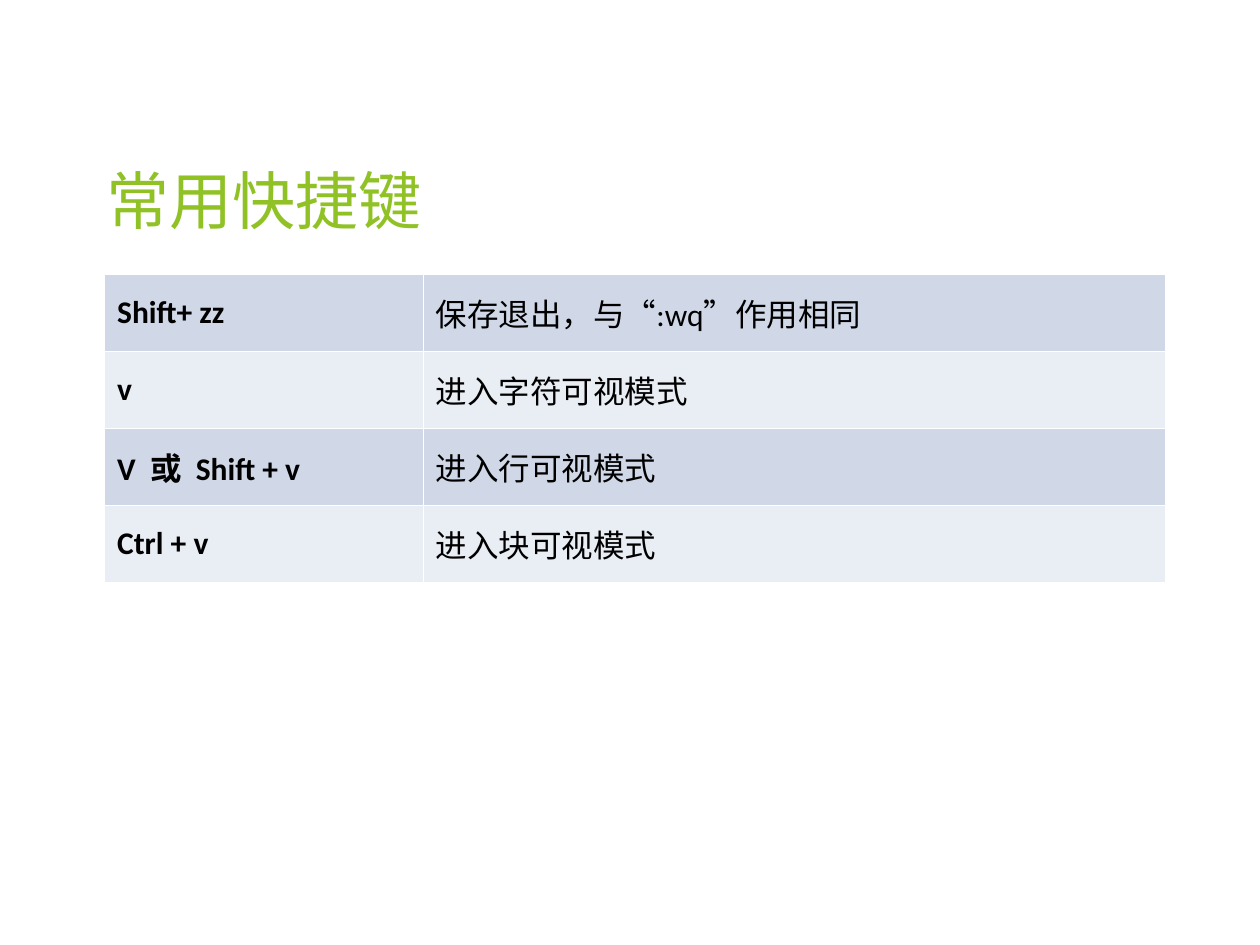
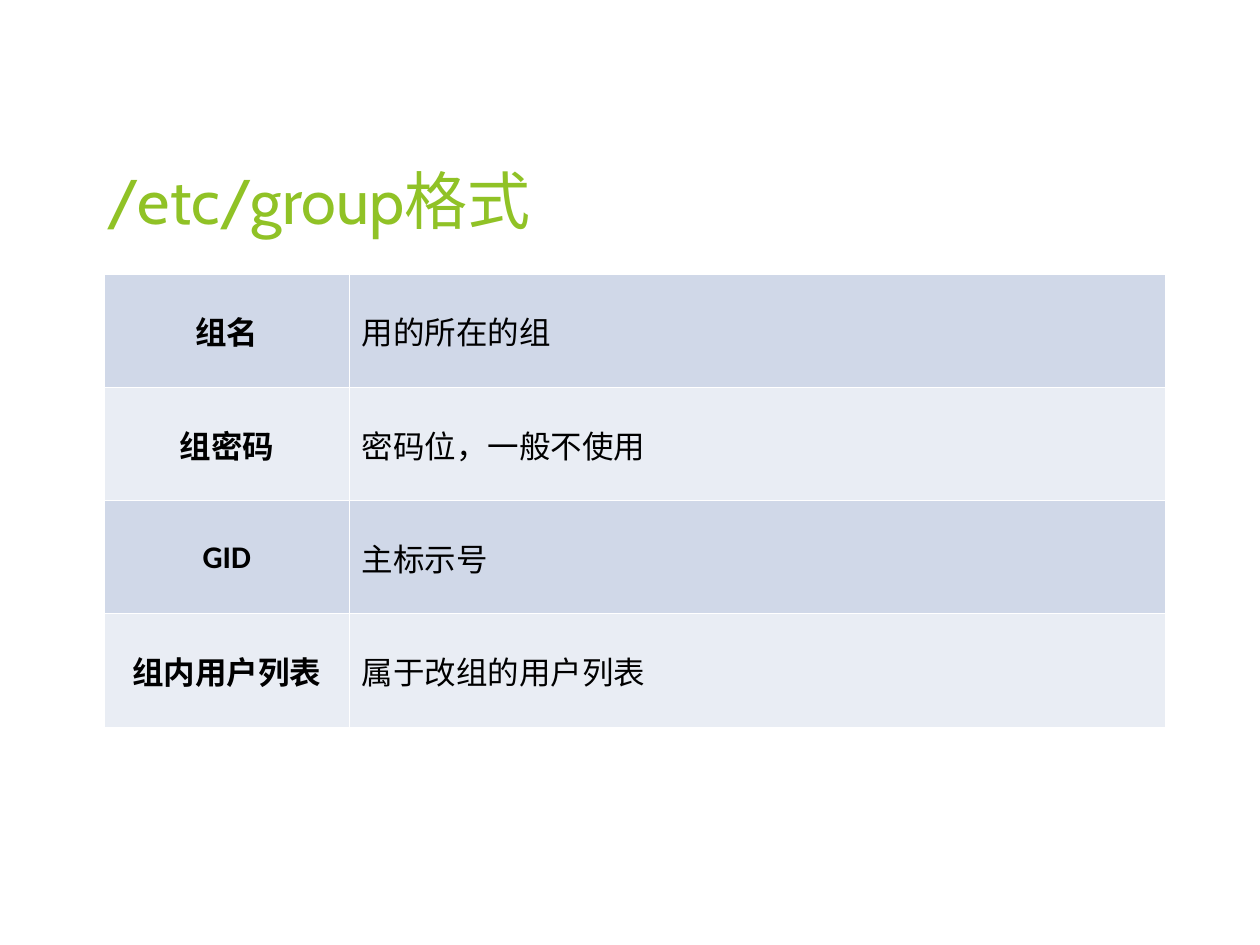
import lxml.etree
import pptx
import pptx.dml.color
import pptx.enum.text
import pptx.oxml.ns
import pptx.util

Inches = pptx.util.Inches
Pt = pptx.util.Pt
RGBColor = pptx.dml.color.RGBColor
ALIGN = pptx.enum.text.PP_ALIGN
ANCHOR = pptx.enum.text.MSO_ANCHOR
qn = pptx.oxml.ns.qn

GREEN = RGBColor(0x90, 0xC2, 0x26)
BLACK = RGBColor(0x00, 0x00, 0x00)
WHITE = RGBColor(0xFF, 0xFF, 0xFF)
ROW_FILLS = (RGBColor(0xD0, 0xD8, 0xE8), RGBColor(0xE9, 0xED, 0xF4))

TITLE_BOX = (0.75, 0.36, 8.42, 1.57)
TABLE_LEFT, TABLE_TOP, TABLE_WIDTH = 0.83, 2.18, 8.42
BORDER_WIDTH = Pt(0.45)

TITLE_FONT = {"name": "Cabin", "size": Pt(36)}
KEY_FONT = {"name": "Calibri", "size": Pt(18), "bold": True}
MEANING_FONT = {**KEY_FONT, "bold": False}
QUOTE_FONT = {**MEANING_FONT, "name": "Arial"}
TITLE_FRAME = {"word_wrap": True, "vertical_anchor": ANCHOR.BOTTOM}
CELL_FORMAT = {
    "vertical_anchor": ANCHOR.MIDDLE,
    "margin_left": Inches(0.1),
    "margin_right": Inches(0.1),
    "margin_top": Inches(0.05),
    "margin_bottom": Inches(0.05),
}
PLAIN_TABLE = {"first_row": False, "horz_banding": False}

SHORTCUTS = [
    ("Shift+ zz", ["保存退出，与", "“", ":wq", "”", "作用相同"]),
    ("v", ["进入字符可视模式"]),
    ("V  或  Shift + v", ["进入行可视模式"]),
    ("Ctrl + v", ["进入块可视模式"]),
]
GROUP_FIELDS = [
    ("组名", ["用的所在的组"]),
    ("组密码", ["密码位，一般不使用"]),
    ("GID", ["主标示号"]),
    ("组内用户列表", ["属于改组的用户列表"]),
]


def apply_format(target, values):
    for name, value in values.items():
        setattr(target, name, value)


def add_run(paragraph, text, font_format, color):
    run = paragraph.add_run()
    run.text = text
    apply_format(run.font, font_format)
    run.font.color.rgb = color


def add_title(slide, text, box):
    frame = slide.shapes.add_textbox(*map(Inches, box)).text_frame
    apply_format(frame, TITLE_FRAME)
    add_run(frame.paragraphs[0], text, TITLE_FONT, GREEN)


def add_borders(cell):
    properties = cell._tc.get_or_add_tcPr()
    for side in ("lnL", "lnR", "lnT", "lnB"):
        line = lxml.etree.SubElement(properties, qn(f"a:{side}"), w=str(BORDER_WIDTH))
        fill = lxml.etree.SubElement(line, qn("a:solidFill"))
        lxml.etree.SubElement(fill, qn("a:srgbClr"), val=str(WHITE))


def fill_cell(cell, texts, font_format, alignment, color):
    apply_format(cell, CELL_FORMAT)
    add_borders(cell)
    cell.fill.solid()
    cell.fill.fore_color.rgb = color
    paragraph = cell.text_frame.paragraphs[0]
    apply_format(paragraph, {"alignment": alignment, "space_before": Pt(4.5)})
    for text in texts:
        add_run(paragraph, text, QUOTE_FONT if text in "“”" else font_format, BLACK)


def add_definition_table(slide, entries, box, key_width, key_alignment):
    width, height = box[2:]
    frame = slide.shapes.add_table(len(entries), 2, *map(Inches, box))
    table = frame.table
    apply_format(table, PLAIN_TABLE)
    for column, column_width in zip(table.columns, (key_width, width - key_width)):
        column.width = Inches(column_width)
    for index, (key, meaning) in enumerate(entries):
        table.rows[index].height = Inches(height / len(entries))
        color = ROW_FILLS[index % len(ROW_FILLS)]
        fill_cell(table.cell(index, 0), [key], KEY_FONT, key_alignment, color)
        fill_cell(table.cell(index, 1), meaning, MEANING_FONT, ALIGN.LEFT, color)


def add_definition_slide(presentation, title, entries, height, key_width, key_alignment):
    slide = presentation.slides.add_slide(presentation.slide_layouts[6])
    add_title(slide, title, TITLE_BOX)
    table_box = (TABLE_LEFT, TABLE_TOP, TABLE_WIDTH, height)
    add_definition_table(slide, entries, table_box, key_width, key_alignment)


def main():
    presentation = pptx.Presentation()
    presentation.slide_width = Inches(10)
    presentation.slide_height = Inches(7.5)
    add_definition_slide(presentation, "常用快捷键", SHORTCUTS, 2.44, 2.53, ALIGN.LEFT)
    add_definition_slide(presentation, "/etc/group格式", GROUP_FIELDS, 3.59, 1.94, ALIGN.CENTER)
    presentation.save("out.pptx")


if __name__ == "__main__":
    main()
